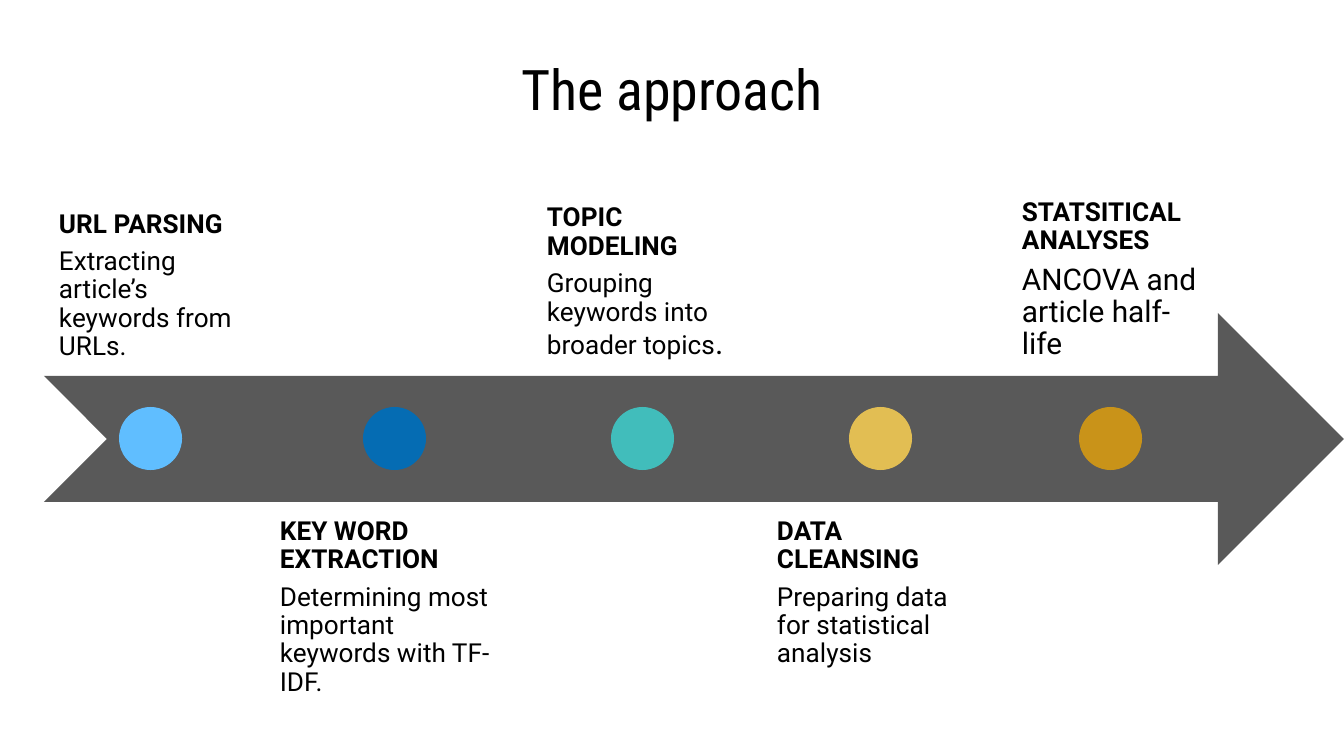
from pptx import Presentation
from pptx.dml.color import RGBColor
from pptx.enum.shapes import MSO_SHAPE
from pptx.enum.text import MSO_ANCHOR, PP_ALIGN
from pptx.util import Emu, Pt

ARROW = MSO_SHAPE.NOTCHED_RIGHT_ARROW
CIRCLE = MSO_SHAPE.OVAL
TOP, BOTTOM = MSO_ANCHOR.TOP, MSO_ANCHOR.BOTTOM
LEFT, CENTER = PP_ALIGN.LEFT, PP_ALIGN.CENTER

BLACK = RGBColor(0x00, 0x00, 0x00)
GRAY = RGBColor(0x59, 0x59, 0x59)
SKY = RGBColor(0x60, 0xBE, 0xFF)
BLUE = RGBColor(0x05, 0x6C, 0xB3)
TEAL = RGBColor(0x41, 0xBD, 0xBB)
YELLOW = RGBColor(0xE2, 0xBE, 0x53)
GOLD = RGBColor(0xC9, 0x93, 0x19)

EMU_PER_PX = 914400 / 134.4
SLIDE_WIDTH, SLIDE_HEIGHT = 1344, 756
BAND_HEIGHT = 252
ABOVE_TOP, ARROW_TOP, BELOW_TOP = 124, 313, 503
DOT_SIZE = 63
DOT_TOP = ARROW_TOP + (BAND_HEIGHT - DOT_SIZE) // 2

# Text left, text width, dot left, dot colour, heading, body runs as (text, size)
STEPS = [
    (44, 212, 119, SKY, "URL PARSING",
     [("Extracting article’s keywords from URLs.", 14)]),
    (265, 258, 363, BLUE, "KEY WORD EXTRACTION",
     [("Determining most important keywords with TF-IDF.", 14)]),
    (532, 223, 611, TEAL, "TOPIC MODELING",
     [("Grouping keywords into broader topics", 14), (".", 17)]),
    (762, 237, 849, YELLOW, "DATA CLEANSING",
     [("Preparing data for statistical analysis", 14)]),
    (1007, 207, 1079, GOLD, "STATSITICAL ANALYSES",
     [("ANCOVA and article half-life", 16)]),
]


def px(length):
    return Emu(round(length * EMU_PER_PX))


def add_filled_shape(slide, kind, left, top, width, height, color):
    shape = slide.shapes.add_shape(kind, px(left), px(top), px(width), px(height))
    shape.shadow.inherit = False
    shape.fill.solid()
    shape.fill.fore_color.rgb = color
    shape.line.fill.background()


def add_text_box(slide, left, top, width, height, anchor=TOP, inset=None):
    frame = slide.shapes.add_textbox(px(left), px(top), px(width), px(height)).text_frame
    frame.word_wrap = True
    frame.vertical_anchor = anchor
    if inset is not None:
        frame.margin_left = frame.margin_right = px(inset)
        frame.margin_top = frame.margin_bottom = px(inset)
    return frame


def add_run(paragraph, text, size=14, font="Roboto", color=BLACK, bold=False):
    run = paragraph.add_run()
    run.text = text
    run.font.size = Pt(size)
    run.font.name = font
    run.font.color.rgb = color
    run.font.bold = bold


def add_step(slide, index, step):
    left, width, dot_left, color, heading, body = step
    # Steps alternate above and below the arrow
    top, anchor = (ABOVE_TOP, BOTTOM) if index % 2 == 0 else (BELOW_TOP, TOP)
    frame = add_text_box(slide, left, top, width, BAND_HEIGHT, anchor, inset=15)
    title, description = frame.paragraphs[0], frame.add_paragraph()
    for paragraph in (title, description):
        paragraph.alignment = LEFT
        paragraph.line_spacing = 0.9
        paragraph.space_after = Pt(5)
    add_run(title, heading, bold=True)
    for text, size in body:
        add_run(description, text, size=size)
    add_filled_shape(slide, CIRCLE, dot_left, DOT_TOP, DOT_SIZE, DOT_SIZE, color)


def main():
    presentation = Presentation()
    presentation.slide_width = px(SLIDE_WIDTH)
    presentation.slide_height = px(SLIDE_HEIGHT)
    slide = presentation.slides.add_slide(presentation.slide_layouts[6])

    # Timeline arrow with its steps
    add_filled_shape(slide, ARROW, 44, ARROW_TOP, 1300, BAND_HEIGHT, GRAY)
    for index, step in enumerate(STEPS):
        add_step(slide, index, step)

    # Title
    title = add_text_box(slide, 0, 48, SLIDE_WIDTH, 82).paragraphs[0]
    title.alignment = CENTER
    add_run(title, "The approach", size=30, font="Roboto Condensed")

    presentation.save("out.pptx")


if __name__ == "__main__":
    main()
